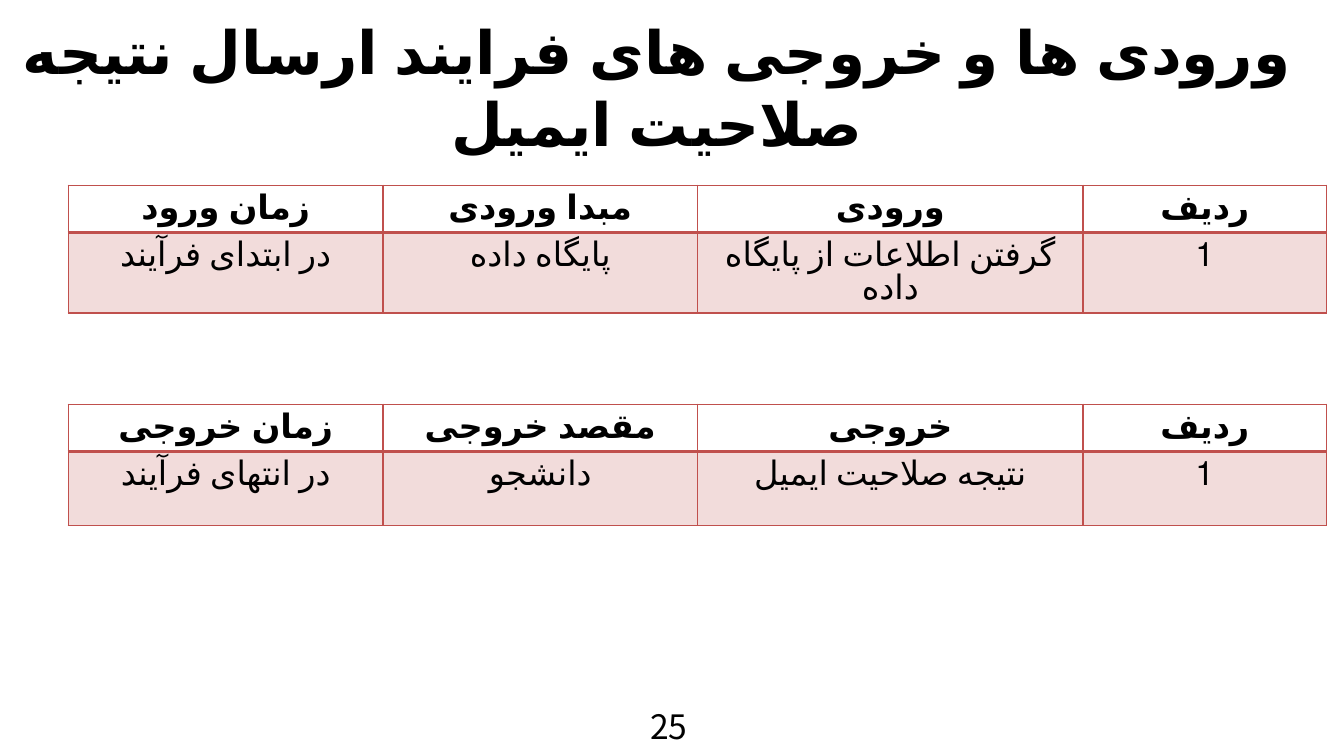
from dataclasses import dataclass

from lxml.etree import SubElement
from pptx import Presentation
from pptx.dml.color import RGBColor
from pptx.enum.lang import MSO_LANGUAGE_ID
from pptx.enum.text import MSO_ANCHOR, MSO_AUTO_SIZE, PP_ALIGN
from pptx.oxml import parse_xml
from pptx.oxml.ns import nsdecls, qn
from pptx.util import Inches, Pt


@dataclass(frozen=True)
class Theme:
    heading_font: str = "Calibri"
    body_font: str = "Noto Sans CJK KR"
    text: str = "000000"
    accent: str = "C0504D"
    tint_percent: int = 20
    title_size: int = 32
    body_size: int = 18
    thin: int = 1
    thick: int = 2


@dataclass(frozen=True)
class FlowTable:
    top: float
    header: tuple[str, ...]
    values: tuple[str, ...]


THEME = Theme()
TABLE_LEFT = 0.51
COLUMN_WIDTHS = (2.34, 2.34, 2.87, 1.81)
ROW_HEIGHTS = (0.31, 0.55)
TABLES = (
    FlowTable(
        1.38,
        ("زمان ورود", "مبدا ورودی", "ورودی", "ردیف"),
        ("در ابتدای فرآیند", "پایگاه داده", "گرفتن اطلاعات از پایگاه داده", "1"),
    ),
    FlowTable(
        3.01,
        ("زمان خروجی", "مقصد خروجی", "خروجی", "ردیف"),
        ("در انتهای فرآیند", "دانشجو", "نتیجه صلاحیت ایمیل", "1"),
    ),
)


def write(para, text: str, font: str, size: int, bold: bool = False) -> None:
    span = para.add_run()
    span.text = text
    formats = {
        "name": font,
        "size": Pt(size),
        "bold": bold,
        "language_id": MSO_LANGUAGE_ID.FARSI,
    }
    for name, value in formats.items():
        setattr(span.font, name, value)
    span.font.color.rgb = RGBColor.from_string(THEME.text)


def center_right_to_left(para) -> None:
    para.alignment = PP_ALIGN.CENTER
    para._p.get_or_add_pPr().set("rtl", "1")


def set_borders(cell, top: int, bottom: int) -> None:
    """Put the four border lines ahead of the cell's fill, as the schema asks."""
    widths = {"lnL": THEME.thin, "lnR": THEME.thin, "lnT": top, "lnB": bottom}
    properties = cell._tc.get_or_add_tcPr()
    for index, (tag, width) in enumerate(widths.items()):
        line = parse_xml(
            f'<a:{tag} {nsdecls("a")} w="{Pt(width)}"><a:solidFill>'
            f'<a:srgbClr val="{THEME.accent}"/></a:solidFill></a:{tag}>'
        )
        properties.insert(index, line)


def tint(cell) -> None:
    cell.fill.solid()
    cell.fill.fore_color.rgb = RGBColor.from_string(THEME.accent)
    color = cell._tc.tcPr.find(f"{qn('a:solidFill')}/{qn('a:srgbClr')}")
    SubElement(color, qn("a:alpha"), val=str(THEME.tint_percent * 1000))


def draw_table(page, flow: FlowTable) -> None:
    frame = page.shapes.add_table(
        len(ROW_HEIGHTS), len(COLUMN_WIDTHS), Inches(TABLE_LEFT), Inches(flow.top),
        Inches(sum(COLUMN_WIDTHS)), Inches(sum(ROW_HEIGHTS)),
    )
    table = frame.table
    table.first_row = table.horz_banding = False
    for column, width in zip(table.columns, COLUMN_WIDTHS):
        column.width = Inches(width)
    for row, height in zip(table.rows, ROW_HEIGHTS):
        row.height = Inches(height)
    for row_index, texts in enumerate((flow.header, flow.values)):
        is_header = row_index == 0
        for column_index, text in enumerate(texts):
            cell = table.cell(row_index, column_index)
            para = cell.text_frame.paragraphs[0]
            center_right_to_left(para)
            para.line_spacing = Pt(THEME.body_size)
            write(para, text, THEME.body_font, THEME.body_size, bold=is_header)
            if is_header:
                cell.fill.background()
                set_borders(cell, THEME.thin, THEME.thick)
            else:
                tint(cell)
                set_borders(cell, THEME.thick, THEME.thin)


def draw_title(page, text: str) -> None:
    title = page.shapes.title
    place = {"left": -0.22, "top": 0.21, "width": 10.22, "height": 0.87}
    for name, value in place.items():
        setattr(title, name, Inches(value))
    box = title.text_frame
    formats = {
        "word_wrap": True,
        "auto_size": MSO_AUTO_SIZE.NONE,
        "vertical_anchor": MSO_ANCHOR.MIDDLE,
    }
    for name, value in formats.items():
        setattr(box, name, value)
    center_right_to_left(box.paragraphs[0])
    write(box.paragraphs[0], text, THEME.heading_font, THEME.title_size, bold=True)


def draw_page_number(page, number: str) -> None:
    box = page.shapes.add_textbox(Inches(4.74), Inches(5.2), Inches(0.51), Inches(0.34))
    box.text_frame.word_wrap = True
    write(box.text_frame.paragraphs[0], number, THEME.body_font, THEME.body_size)


def main() -> None:
    deck = Presentation()
    deck.slide_width = Inches(10)
    deck.slide_height = deck.slide_width * 9 // 16
    page = deck.slides.add_slide(deck.slide_layouts.get_by_name("Title Only"))
    draw_title(page, "ورودی ها و خروجی های فرایند ارسال نتیجه صلاحیت ایمیل")
    for flow in TABLES:
        draw_table(page, flow)
    draw_page_number(page, "25")
    deck.save("out.pptx")


if __name__ == "__main__":
    main()
